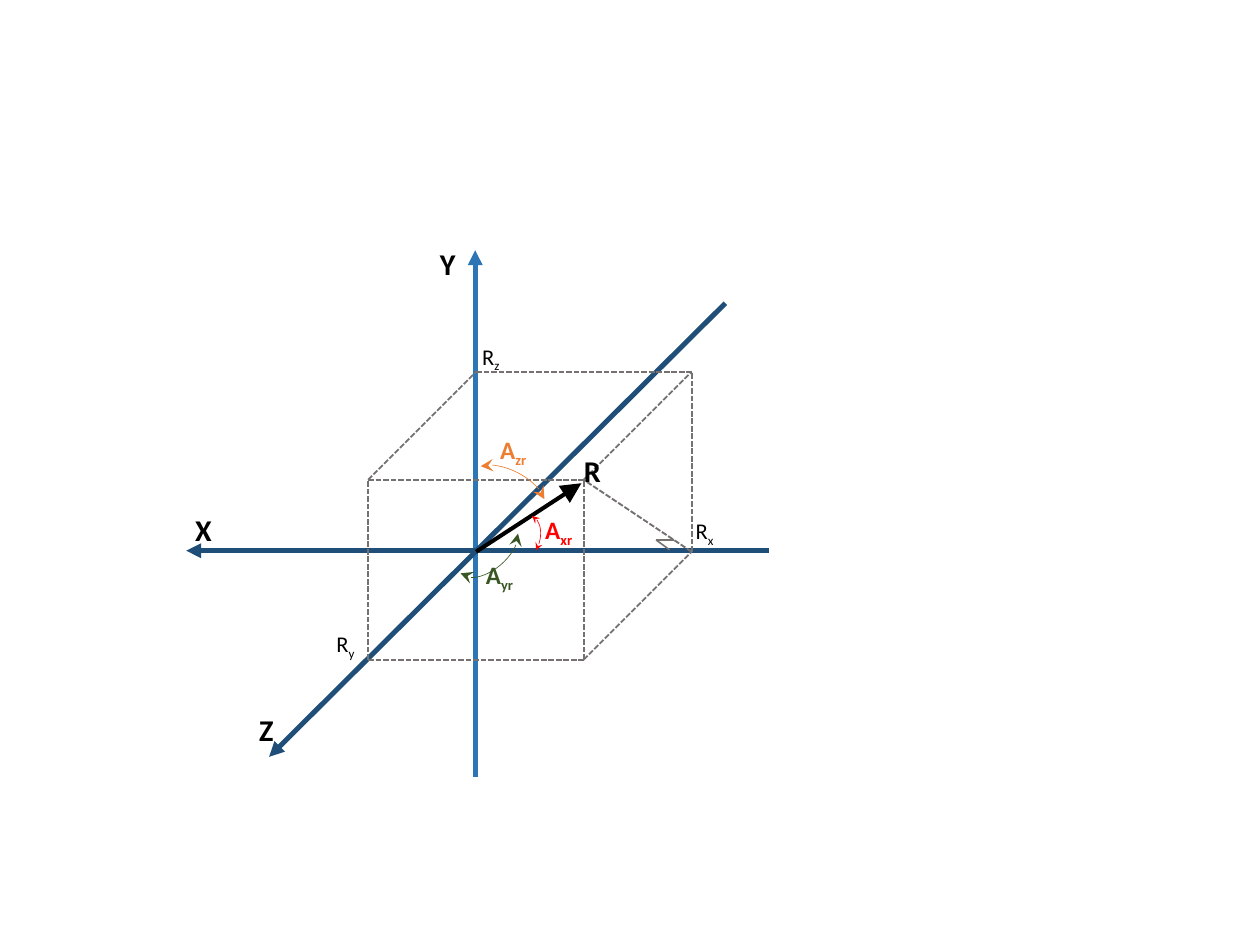
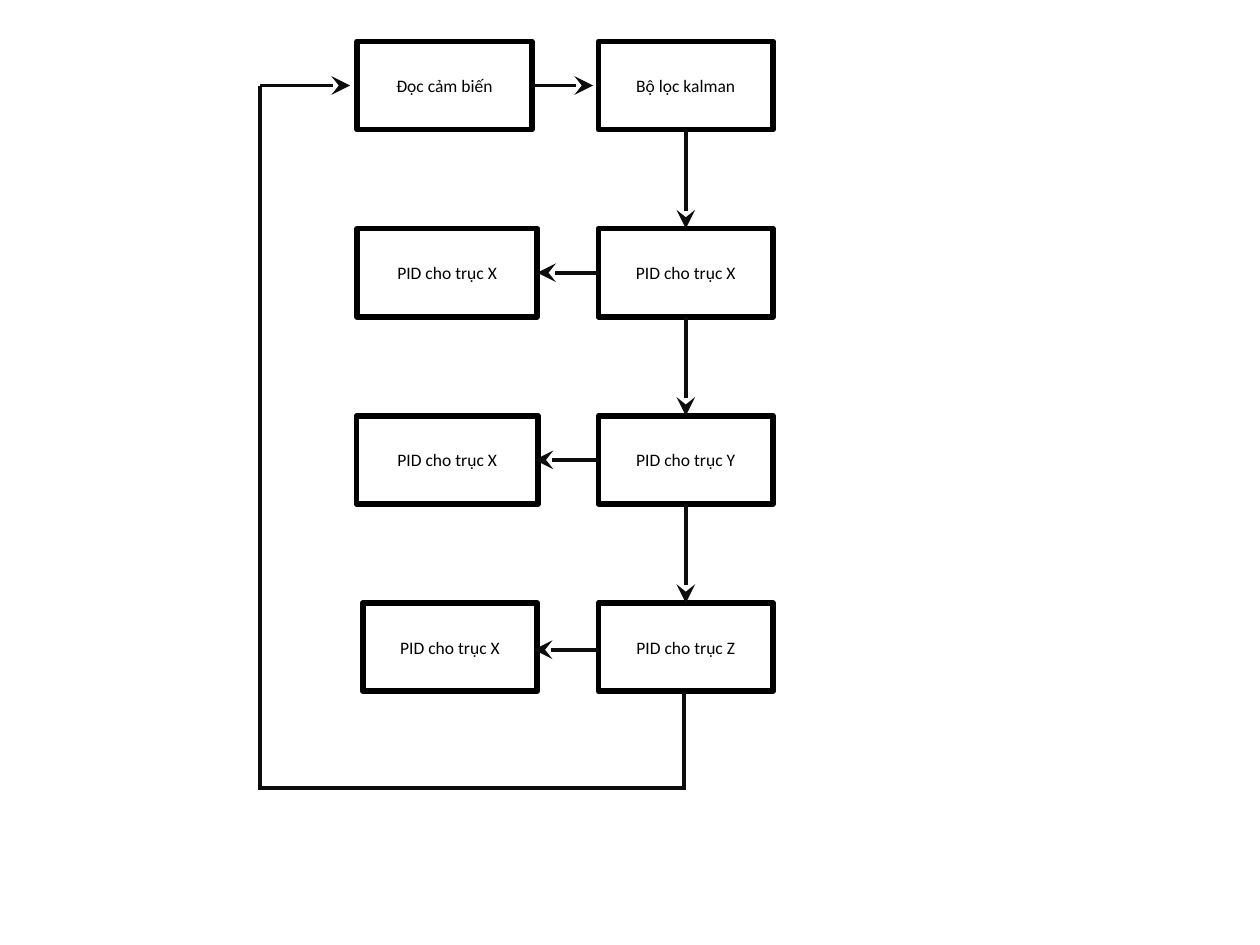
from lxml import etree
from pptx import Presentation
from pptx.dml.color import RGBColor
from pptx.enum.dml import MSO_LINE
from pptx.enum.shapes import MSO_CONNECTOR, MSO_SHAPE
from pptx.enum.text import MSO_ANCHOR, MSO_AUTO_SIZE, PP_ALIGN
from pptx.oxml.ns import qn
from pptx.util import Pt

STRAIGHT = MSO_CONNECTOR.STRAIGHT
ARC, RECT = MSO_SHAPE.ARC, MSO_SHAPE.RECTANGLE
DASH = MSO_LINE.SQUARE_DOT
MIDDLE, CENTER = MSO_ANCHOR.MIDDLE, PP_ALIGN.CENTER
GROW = MSO_AUTO_SIZE.SHAPE_TO_FIT_TEXT

FONT = "Calibri"
COLORS = {
    "text": "000000", "axis": "1F4E79", "axis_y": "2E75B6", "guide": "767171",
    "angle_z": "ED7D31", "angle_y": "385723", "angle_x": "FF0000", "flow": "0D0D0D",
}

AXES = [
    ((380.2, 621.4), (380.2, 200.2), "axis_y"),
    ((614.9, 440.6), (149, 440.6), "axis"),
    ((580.3, 242.6), (215.3, 605.5), "axis"),
]
VECTOR = ((380.9, 441.4), (465.1, 386.6))
CUBE = {"left": 294.5, "top": 383.8, "width": 172.4, "height": 144, "depth": 86.4}
RIGHT_ANGLE = [(539.3, 432), (524.9, 432), (535.7, 439.9)]
ARCS = [
    ((388.8, 360.7, 34.6, 65.5), 296.9, (172.06, 44.563), "angle_z", "lg"),
    ((374.4, 411.1, 31.7, 57.6), 49.6, (169.325, 53.693), "angle_y", "lg"),
    ((407.5, 411.8, 24.5, 37.4), 15.4, (164.115, 18.796), "angle_x", "med"),
]
LABEL_STYLES = {
    "axis": {"size": 24.1, "bold": True, "width": 30.6, "height": 36.7},
    "angle": {"size": 20, "bold": True, "width": 41.4, "height": 31.7},
    "part": {"size": 18, "bold": False, "width": 33.8, "height": 28.8},
}
LABELS = [
    ("X", "", 149, 405.4, "axis", "text"),
    ("Y", "", 344.9, 193, "axis", "text"),
    ("Z", "", 200.2, 565.2, "axis", "text"),
    ("R", "", 460.1, 358.6, "axis", "text"),
    ("A", "zr", 393.1, 344.2, "angle", "angle_z"),
    ("A", "xr", 429.1, 408.2, "angle", "angle_x"),
    ("A", "yr", 381.6, 444.2, "angle", "angle_y"),
    ("R", "x", 549.4, 410.4, "part", "text"),
    ("R", "y", 262.1, 500.4, "part", "text"),
    ("R", "z", 378.7, 270.7, "part", "text"),
]

STEP_X, STEP_W, STEP_H = 478.8, 139.7, 70.6
FIRST_Y, ROW_PITCH = 33.1, 149.76
STEPS = ["Bộ lọc kalman", "PID cho trục X", "PID cho trục Y", "PID cho trục Z"]
SIDE_STEPS = [
    ("Đọc cảm biến", 285.8, 139.7),
    ("PID cho trục X", 285.8, 144),
    ("PID cho trục X", 285.1, 145.4),
    ("PID cho trục X", 290.2, 139.7),
]
SIDE_TIPS = [(429.8, 218.2), (427.7, 367.9), (427, 519.8)]
LOOP_X, LOOP_Y, EXIT_X, ENTRY_Y = 208.1, 630.7, 547.2, 68.4


def rgb(name):
    return RGBColor.from_string(COLORS[name])


def style_line(shape, color, width, head=None, tail=None, size="med", dash=None):
    shape.line.color.rgb = rgb(color)
    shape.line.width = Pt(width)
    if dash:
        shape.line.dash_style = dash
    ln = shape.line._get_or_add_ln()
    for tag, kind in (("a:headEnd", head), ("a:tailEnd", tail)):
        if kind:
            etree.SubElement(ln, qn(tag), type=kind, w=size, len=size)


def add_line(s, start, end, color, width, **ends):
    line = s.shapes.add_connector(STRAIGHT, *(Pt(v) for v in (*start, *end)))
    style_line(line, color, width, **ends)
    etree.SubElement(line._element.spPr, qn("a:effectLst"))


def add_outline(s, kind, box, color, width, **ends):
    sp = s.shapes.add_shape(kind, *(Pt(v) for v in box))
    sp.shadow.inherit = False
    sp.fill.background()
    style_line(sp, color, width, **ends)
    return sp


def style_run(r, size, color="text", bold=False):
    r.font.name, r.font.size, r.font.bold = FONT, Pt(size), bold
    r.font.color.rgb = rgb(color)


def add_label(s, text, sub, x, y, style, color):
    look = LABEL_STYLES[style]
    box = s.shapes.add_textbox(Pt(x), Pt(y), Pt(look["width"]), Pt(look["height"]))
    tf = box.text_frame
    tf.word_wrap = False
    tf.auto_size = GROW
    p = tf.paragraphs[0]
    for part in filter(None, (text, sub)):
        r = p.add_run()
        r.text = part
        style_run(r, look["size"], color, look["bold"])
        if part == sub:
            r.font._element.set("baseline", "-25000")


def add_step(s, text, x, row, width):
    box = (x, FIRST_Y + row * ROW_PITCH, width, STEP_H)
    sp = add_outline(s, RECT, box, "text", 4.5)
    tf = sp.text_frame
    tf.text = text
    tf.vertical_anchor = MIDDLE
    tf.paragraphs[0].alignment = CENTER
    style_run(tf.paragraphs[0].runs[0], 14)


def cube_edges(left, top, width, height, depth):
    right, bottom = left + width, top + height
    tl, tr, br, bl = (left, top), (right, top), (right, bottom), (left, bottom)
    back_tl, back_tr, back_br = ((x + depth, y - depth) for x, y in (tl, tr, br))
    return [(bl, br), (br, tr), (bl, tl), (tl, tr), (br, back_br), (tl, back_tl),
            (tr, back_tr), (back_tl, back_tr), (back_br, back_tr), (back_br, tr)]


def build_vector_slide(s):
    for start, end, color in AXES:
        add_line(s, start, end, color, 4, tail="triangle")
    add_line(s, *VECTOR, "text", 3.25, tail="triangle", size="lg")
    for start, end in cube_edges(**CUBE):
        add_line(s, start, end, "guide", 1.5, dash=DASH)
    for start, end in zip(RIGHT_ANGLE, RIGHT_ANGLE[1:]):
        add_line(s, start, end, "guide", 1.25)
    for box, rotation, angles, color, size in ARCS:
        sp = add_outline(s, ARC, box, color, 0.5, head="stealth", tail="stealth", size=size)
        sp.rotation = rotation
        sp.adjustments[0], sp.adjustments[1] = angles
    for label in LABELS:
        add_label(s, *label)


def build_flow_slide(s):
    for row, text in enumerate(STEPS):
        add_step(s, text, STEP_X, row, STEP_W)
    for row, (text, x, width) in enumerate(SIDE_STEPS):
        add_step(s, text, x, row, width)

    mid_x = STEP_X + STEP_W / 2
    arrows = [((280.1, ENTRY_Y), (LOOP_X, ENTRY_Y)), ((474.5, ENTRY_Y), (424.8, ENTRY_Y))]
    for row in range(1, len(STEPS)):
        y = FIRST_Y + row * ROW_PITCH
        arrows.append(((mid_x, y), (mid_x, y - ROW_PITCH + STEP_H)))
    arrows += [((x, y), (STEP_X, y)) for x, y in SIDE_TIPS]
    for tip, start in arrows:
        add_line(s, tip, start, "flow", 3, head="stealth", size="lg")

    last_bottom = FIRST_Y + (len(STEPS) - 1) * ROW_PITCH + STEP_H
    corner_y = LOOP_Y + 1.5
    for start, end in [((LOOP_X, LOOP_Y), (mid_x, LOOP_Y)),
                       ((EXIT_X, corner_y), (EXIT_X, last_bottom)),
                       ((LOOP_X, corner_y), (LOOP_X, ENTRY_Y))]:
        add_line(s, start, end, "flow", 3)


prs = Presentation()
prs.slide_width, prs.slide_height = Pt(1008), Pt(756)
for build in (build_vector_slide, build_flow_slide):
    build(prs.slides.add_slide(prs.slide_layouts[6]))
prs.save("out.pptx")
